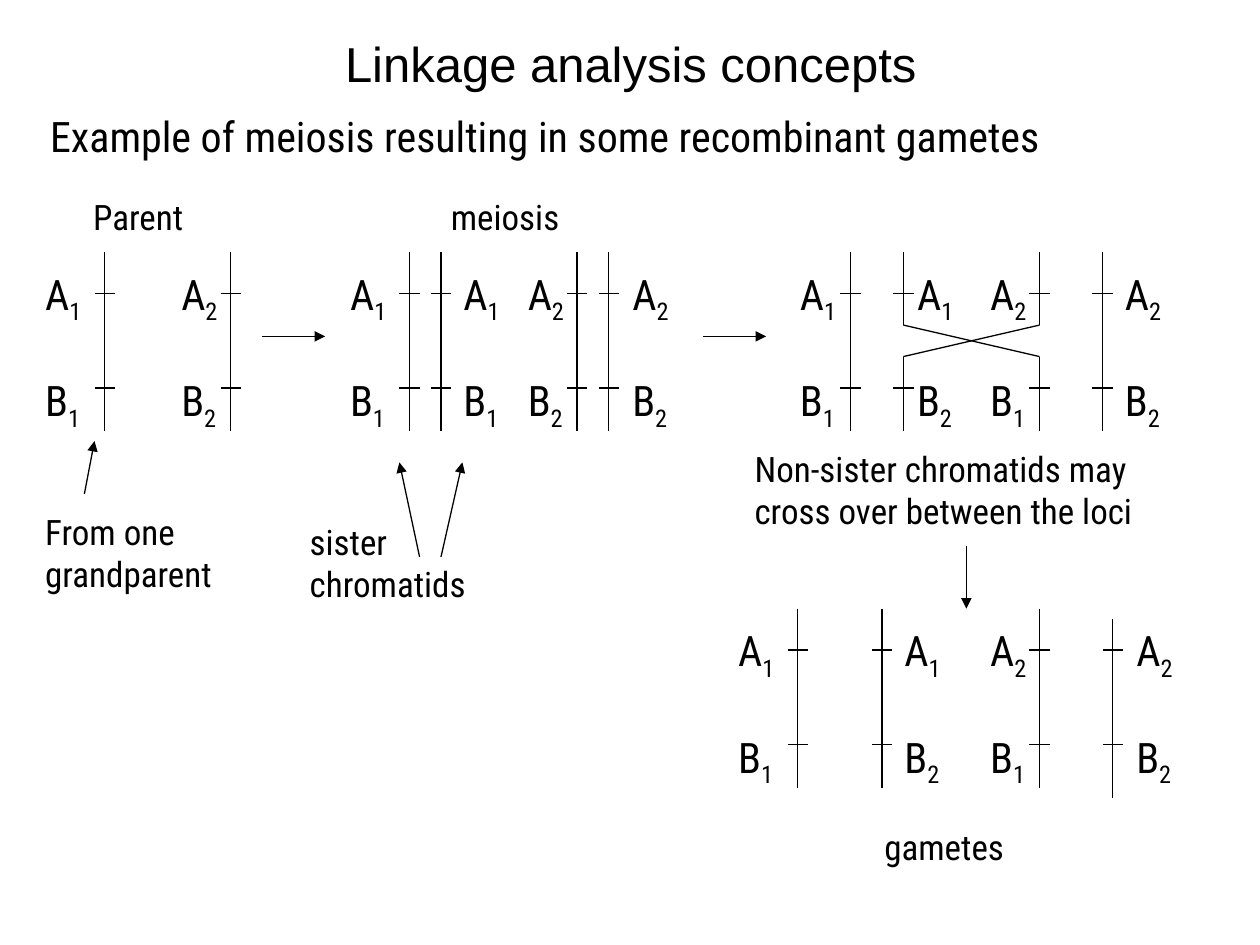
from pptx import Presentation
from pptx.util import Inches, Pt
from pptx.dml.color import RGBColor as RGB
from pptx.enum.shapes import MSO_CONNECTOR as Conn
from pptx.enum.text import PP_ALIGN as Align, MSO_ANCHOR as Anchor
from pptx.oxml.ns import qn
from lxml.etree import SubElement as Sub

COLORS = {"ink": "000000", "paper": "FFFFFF"}
INK = RGB.from_string(COLORS["ink"])
FONT = "Roboto Condensed"
STRAND = 1.42       # length of a chromatid
LOCI = (0.33, 1.08)  # tick depths of loci A and B
TICK = 0.08         # half the width of a tick
CROSS = (0.58, 0.83)  # depths where crossing begins and ends


def add_line(slide, x1, y1, x2, y2, arrow=False):
    line = slide.shapes.add_connector(
        Conn.STRAIGHT, Inches(x1), Inches(y1), Inches(x2), Inches(y2))
    line.line.color.rgb = INK
    line.line.width = Pt(0.75)
    props = line._element.spPr
    if arrow:
        Sub(props.find(qn("a:ln")), qn("a:tailEnd"), type="triangle")
    Sub(props, qn("a:effectLst"))


def style(para, size, name=FONT):
    para.font.size = Pt(size)
    para.font.name = name
    para.font.color.rgb = INK


def add_frame(slide, left, top, width, height):
    box = slide.shapes.add_textbox(
        Inches(left), Inches(top), Inches(width), Inches(height))
    box.text_frame.word_wrap = True
    return box.text_frame


def add_text(slide, left, top, width, height, text, size=20):
    frame = add_frame(slide, left, top, width, height)
    frame.text = text
    for para in frame.paragraphs:
        style(para, size)
    return frame


def add_alleles(slide, left, top, numbers):
    """Write locus A above locus B, each with its allele number as subscript."""
    frame = add_frame(slide, left, top, 0.58, 1.41)
    for i, (locus, number) in enumerate(zip("AB", numbers)):
        para = frame.add_paragraph() if i else frame.paragraphs[0]
        style(para, 24)
        para.space_before = Pt(28 * i)
        para.add_run().text = locus
        sub = para.add_run()
        sub.text = number
        sub.font._element.set("baseline", "-25000")


def add_panel(slide, left, top, strands, crossed=()):
    """Draw strands given as (x, label offset, allele numbers, line drop)."""
    for x, shift, numbers, drop in strands:
        mid = left + x
        ends = (0, *CROSS, STRAND) if x in crossed else (0, STRAND)
        for start, end in zip(ends[::2], ends[1::2]):
            add_line(slide, mid, top + drop + start, mid, top + drop + end)
        for depth in LOCI:
            add_line(slide, mid - TICK, top + depth, mid + TICK, top + depth)
        add_alleles(slide, mid + shift, top + 0.08, numbers)
    if crossed:
        a, b = (left + x for x in crossed)
        high, low = (top + depth for depth in CROSS)
        add_line(slide, a, high, b, low)
        add_line(slide, b, high, a, low)


def add_heading(slide, left, top):
    frame = add_frame(slide, left + 0.12, top, 9.17, 0.5)
    frame.vertical_anchor = Anchor.MIDDLE
    frame.text = "Linkage analysis concepts"
    title = frame.paragraphs[0]
    title.alignment = Align.CENTER
    style(title, 28, "Arial")
    add_text(slide, left, top + 0.58, 9.57, 0.5,
             "Example of meiosis resulting in some recombinant gametes", 24)


def add_parent(slide, left, top):
    add_text(slide, left + 0.38, top, 1.07, 0.44, "Parent")
    add_panel(slide, left, top + 0.5,
              [(0.57, -0.57, "11", 0), (1.57, -0.49, "22", 0)])
    add_line(slide, left + 0.41, top + 2.42, left + 0.49, top + 2, True)
    add_text(slide, left, top + 2.5, 1.85, 0.77, "From one\ngrandparent")


def add_meiosis(slide, left, top):
    add_text(slide, left + 1.12, top, 1.19, 0.44, "meiosis")
    add_panel(slide, left, top + 0.5,
              [(0.89, -0.57, "11", 0), (1.14, 0.08, "11", 0),
               (2.22, -0.49, "22", 0), (2.47, 0.09, "22", 0)])
    for start, end in ((0.97, 0.81), (1.14, 1.31)):
        add_line(slide, left + start, top + 2.92, left + end, top + 2.17, True)
    add_text(slide, left, top + 2.58, 1.68, 0.77, "sister\nchromatids")


def add_crossing(slide, left, top):
    add_panel(slide, left, top,
              [(0.86, -0.5, "11", 0), (1.28, 0.01, "12", 0),
               (2.36, -0.49, "21", 0), (2.86, 0.08, "22", 0)],
              crossed=(1.28, 2.36))
    add_text(slide, left, top + 1.5, 3.81, 0.77,
             "Non-sister chromatids may\ncross over between the loci")


def add_gametes(slide, left, top):
    add_panel(slide, left, top,
              [(0.57, -0.57, "11", 0), (1.24, 0.08, "12", 0),
               (2.49, -0.49, "21", 0), (3.07, 0.09, "22", 0.08)])
    add_text(slide, left + 1.16, top + 1.67, 1.75, 0.44, "gametes")


def add_steps(slide):
    """Link the stages with arrows."""
    for x in (2.08, 5.58):
        add_line(slide, x, 2.67, x + 0.5, 2.67, True)
    add_line(slide, 7.67, 4.33, 7.67, 4.83, True)


def main():
    deck = Presentation()
    deck.slide_width, deck.slide_height = Inches(10), Inches(7.5)
    slide = deck.slides.add_slide(deck.slide_layouts[6])
    fill = slide.background.fill
    fill.solid()
    fill.fore_color.rgb = RGB.from_string(COLORS["paper"])
    add_heading(slide, 0.3, 0.25)
    add_parent(slide, 0.26, 1.5)
    add_meiosis(slide, 2.36, 1.5)
    add_crossing(slide, 5.89, 2)
    add_gametes(slide, 5.76, 4.83)
    add_steps(slide)
    deck.save("out.pptx")


if __name__ == "__main__":
    main()
